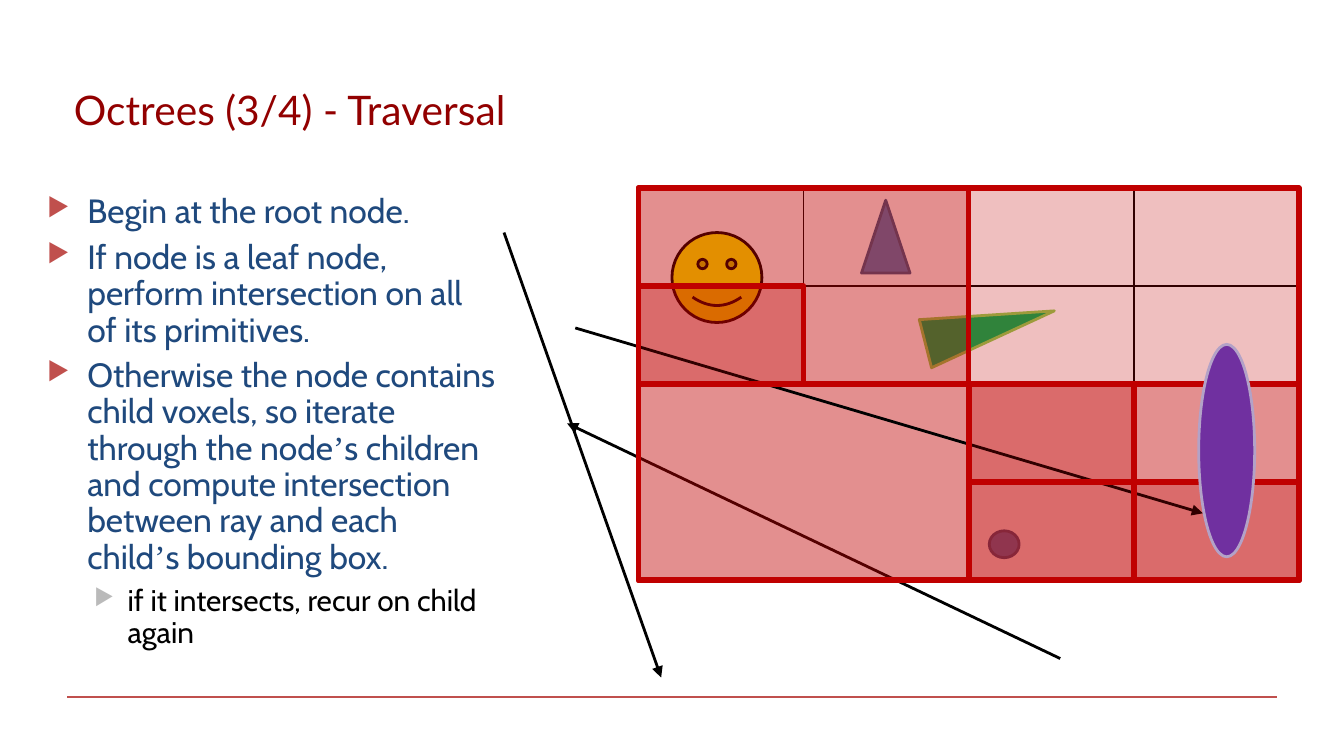
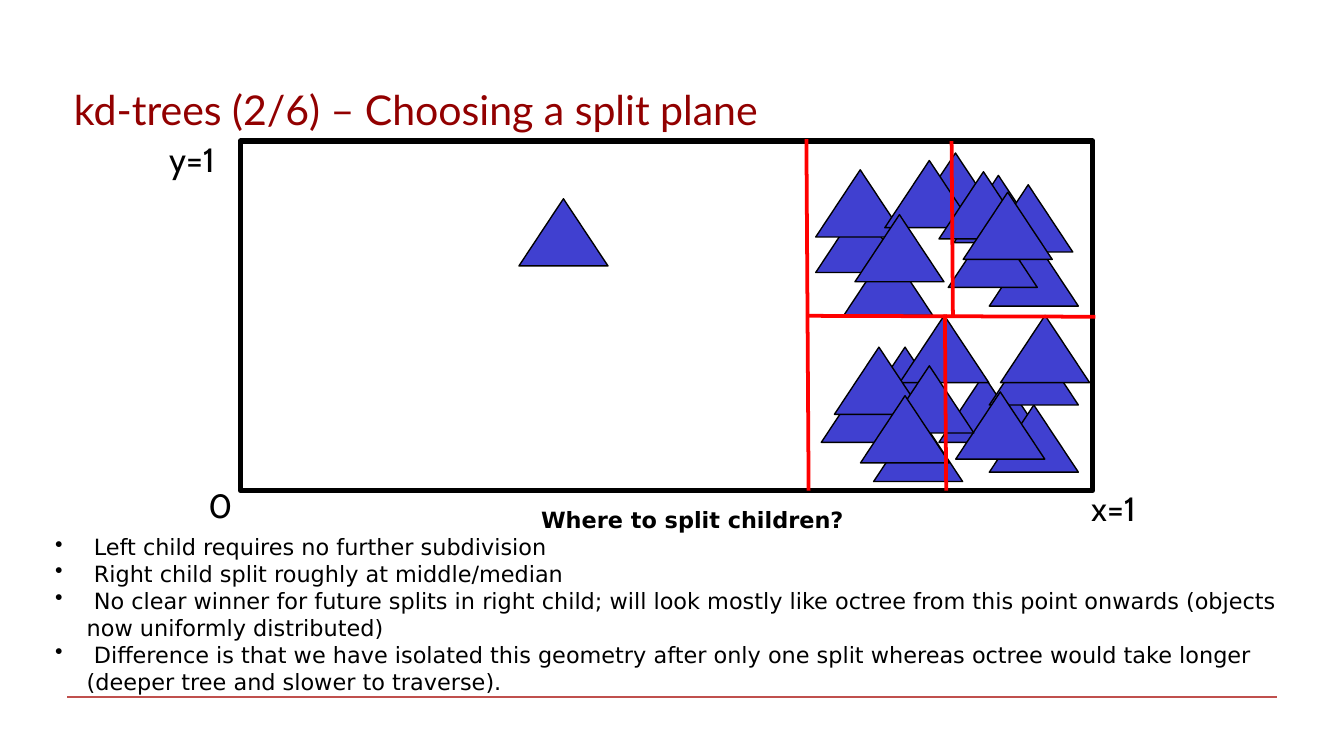
from dataclasses import dataclass
from typing import NamedTuple, Optional

from pptx import Presentation
from pptx.dml.color import RGBColor
from pptx.enum.shapes import MSO_CONNECTOR, MSO_SHAPE
from pptx.enum.text import MSO_ANCHOR, MSO_AUTO_SIZE, PP_ALIGN
from pptx.oxml.ns import qn
from pptx.util import Pt

STRAIGHT = MSO_CONNECTOR.STRAIGHT
RECTANGLE = MSO_SHAPE.RECTANGLE
TRIANGLE = MSO_SHAPE.ISOSCELES_TRIANGLE
ELLIPSE = MSO_SHAPE.OVAL
SMILEY = MSO_SHAPE.SMILEY_FACE
MIDDLE = MSO_ANCHOR.MIDDLE
LEFT, CENTER = PP_ALIGN.LEFT, PP_ALIGN.CENTER
TITLE_ONLY = 5

COLOURS = {
    "title": "920000", "rule": "C0504D", "body": "1F497D", "grey": "BABABA",
    "black": "000000", "voxel": "C00000", "yellow": "FFFF00",
    "blue": "4F81BD", "blue_edge": "3A5E8A",
    "green": "00B050", "green_edge": "92D050",
    "purple": "7030A0", "purple_edge": "B3A2C7",
    "primitive": "4040D0", "split": "FF0000",
}
TITLE_FONT, BODY_FONT, NOTE_FONT = "Lato", "Cabin", "DejaVu Sans"
QUOTE_FONT = "Times New Roman"


class Area(NamedTuple):
    left: float
    top: float
    width: float
    height: float


class Segment(NamedTuple):
    x1: float
    y1: float
    x2: float
    y2: float


class Cell(NamedTuple):
    """A voxel: tree depth, and column and row at that depth."""
    depth: int
    column: int
    row: int


@dataclass
class Figure:
    kind: int
    area: Area
    fill: Optional[str] = None
    edge: str = "black"
    edge_width: float = 1.5
    opacity: int = 100
    rotation: float = 0


@dataclass
class Bullet:
    char: str
    margin: float
    hanging: float
    colour: Optional[str] = None
    percent: Optional[int] = None


def rgb(name: str) -> RGBColor:
    return RGBColor.from_string(COLOURS[name])


def points(values) -> list:
    return [Pt(value) for value in values]


# Text
def add_text(para, text, *, size, font, colour="black", bold=False):
    span = para.add_run()
    span.text = text
    span.font.size, span.font.name, span.font.bold = Pt(size), font, bold
    span.font.color.rgb = rgb(colour)


def set_frame(frame, wrap: bool = True):
    frame.word_wrap = wrap
    frame.auto_size = MSO_AUTO_SIZE.NONE
    frame.margin_left = frame.margin_right = Pt(3.6)
    frame.margin_top = frame.margin_bottom = Pt(3.6)


def add_box(page, area: Area, wrap: bool = True):
    frame = page.shapes.add_textbox(*points(area)).text_frame
    set_frame(frame, wrap)
    return frame


def set_bullet(para, bullet: Bullet):
    props = para._p.get_or_add_pPr()
    props.set("marL", str(Pt(bullet.margin)))
    props.set("indent", str(-Pt(bullet.hanging)))

    def add(tag, parent=props, **attributes):
        node = parent.makeelement(qn(tag), attributes)
        parent.append(node)
        return node

    if bullet.colour:
        add("a:srgbClr", add("a:buClr"), val=COLOURS[bullet.colour])
    if bullet.percent:
        add("a:buSzPct", val=str(bullet.percent * 1000))
    add("a:buChar", char=bullet.char)


# Shapes and lines
def add_figure(page, figure: Figure):
    shape = page.shapes.add_shape(figure.kind, *points(figure.area))
    shape.shadow.inherit = False
    shape.rotation = figure.rotation
    shape.line.color.rgb = rgb(figure.edge)
    shape.line.width = Pt(figure.edge_width)
    if figure.fill is None:
        shape.fill.background()
        return
    shape.fill.solid()
    shape.fill.fore_color.rgb = rgb(figure.fill)
    if figure.opacity < 100:
        colour = shape.element.spPr.find(qn("a:solidFill"))[0]
        colour.append(colour.makeelement(
            qn("a:alpha"), {"val": str(figure.opacity * 1000)}))


def add_line(page, segment: Segment, colour="black", width=1.5, arrow=False):
    line = page.shapes.add_connector(STRAIGHT, *points(segment))
    line.line.color.rgb = rgb(colour)
    line.line.width = Pt(width)
    if arrow:
        outline = line.line._get_or_add_ln()
        outline.append(outline.makeelement(qn("a:tailEnd"), {"type": "triangle"}))
    props = line.element.spPr
    props.append(props.makeelement(qn("a:effectLst"), {}))


# Shared page: footer rule and title
def add_page(deck, title: str, title_size: float):
    page = deck.slides.add_slide(deck.slide_layouts[TITLE_ONLY])
    add_line(page, Segment(36, 373.5, 684, 373.5), "rule", 0.75)
    holder = page.shapes.title
    holder.left, holder.top, holder.width, holder.height = points((36, 40.5, 648, 36))
    set_frame(holder.text_frame)
    holder.text_frame.vertical_anchor = MIDDLE
    para = holder.text_frame.paragraphs[0]
    para.alignment = LEFT
    add_text(para, title, size=title_size, font=TITLE_FONT, colour="title")
    return page


# Octree traversal
OCTREE = Area(342, 100.8, 354, 210)
ROOT = Cell(0, 0, 0)
OCTANTS = [Cell(1, 0, 0), Cell(1, 0, 1), Cell(1, 1, 1)]
LEAVES = [Cell(2, column, row) for column, row in (
    (0, 0), (0, 1), (1, 1), (2, 1), (2, 0), (3, 0), (2, 3), (2, 2), (3, 2))]
VISITED_LEAVES = [Cell(2, 0, 1), Cell(2, 2, 3), Cell(2, 2, 2), Cell(2, 3, 3)]

RAYS = [Segment(270, 124.6, 354.2, 363), Segment(568, 352.8, 303.8, 226.8)]
HIT_RAY = Segment(308.2, 175.7, 644.4, 275)

SCENE = [
    Figure(SMILEY, Area(360, 124.6, 48.2, 48.2), "yellow"),
    Figure(TRIANGLE, Area(461.5, 107.3, 26, 39), "blue", "blue_edge"),
    Figure(TRIANGLE, Area(517, 139.7, 26.6, 71.3), "green", "green_edge",
           rotation=75.7),
    Figure(ELLIPSE, Area(530, 284.4, 16, 14.4), "blue", "blue_edge"),
]
HIT_OBJECT = Figure(ELLIPSE, Area(642.2, 184.5, 30, 113.8), "purple", "purple_edge")

STEPS = [
    "Begin at the root node.",
    "If node is a leaf node, perform intersection on all of its primitives.",
    "Otherwise the node contains child voxels, so iterate through the node’s "
    "children and compute intersection between ray and each child’s bounding box.",
]
SUBSTEP = "if it intersects, recur on child again"
STEP_BULLET = Bullet("▶", 43.2, 21.6, "rule", 76)
SUBSTEP_BULLET = Bullet("▶", 64.8, 18, "grey", 76)


def cell_area(cell: Cell) -> Area:
    width = OCTREE.width / 2 ** cell.depth
    height = OCTREE.height / 2 ** cell.depth
    return Area(OCTREE.left + cell.column * width,
                OCTREE.top + cell.row * height, width, height)


def add_visited(page, cells):
    for cell in cells:
        add_figure(page, Figure(RECTANGLE, cell_area(cell), "voxel", "voxel", 3, 25))


def add_step(para, text: str, bullet: Bullet, size: float, colour: str):
    para.line_spacing, para.space_before = 0.9, Pt(5)
    set_bullet(para, bullet)
    for index, part in enumerate(text.split("’")):
        if index:
            add_text(para, "’", size=size, font=QUOTE_FONT, colour=colour)
        add_text(para, part, size=size, font=BODY_FONT, colour=colour)


def build_octree_page(deck):
    page = add_page(deck, "Octrees (3/4) - Traversal", 21.8)
    frame = add_box(page, Area(0, 100.8, 270, 270))
    for index, step in enumerate(STEPS):
        para = frame.add_paragraph() if index else frame.paragraphs[0]
        add_step(para, step, STEP_BULLET, 18, "body")
    add_step(frame.add_paragraph(), SUBSTEP, SUBSTEP_BULLET, 16, "black")

    for ray in RAYS:
        add_line(page, ray, arrow=True)
    for figure in SCENE:
        add_figure(page, figure)
    for cell in [ROOT, *OCTANTS, *LEAVES]:
        add_figure(page, Figure(RECTANGLE, cell_area(cell), edge_width=1))
    add_visited(page, [ROOT, *OCTANTS])
    add_line(page, HIT_RAY, arrow=True)
    add_visited(page, VISITED_LEAVES)
    add_figure(page, HIT_OBJECT)


# kd-tree split planes
SPACE = Figure(RECTANGLE, Area(128.9, 75.6, 456.5, 187.2), edge_width=3)
PRIMITIVES = [
    (278, 106.5), (516, 206), (503, 201), (511, 94), (452, 133), (530, 128),
    (437, 110), (461, 186), (530, 217), (482, 169), (488, 82), (440, 201),
    (530, 181), (447, 186), (536, 169), (437, 91), (468, 222), (508, 118),
    (512, 210), (527, 99), (474, 86), (474, 196), (503, 92), (516, 103),
    (461, 212), (458, 115),
]
SPLITS = [
    Segment(432, 74.5, 433.2, 262.8), Segment(432.7, 169.2, 586.8, 169.7),
    Segment(509.8, 75.6, 510.5, 169.2), Segment(506.2, 168.5, 506.9, 262.8),
]
AXIS_LABELS = [
    ("0", Area(108, 256.3, 17.3, 27.4), False),
    ("x=1", Area(581, 257.8, 37.4, 27.4), False),
    ("y=1", Area(87, 70.6, 49.7, 27.4), True),
]
QUESTION = "Where to split children?"
ANSWERS = [
    " Left child requires no further subdivision",
    " Right child split roughly at middle/median",
    " No clear winner for future splits in right child; will look mostly like "
    "octree from this point onwards (objects now uniformly distributed)",
    " Difference is that we have isolated this geometry after only one split "
    "whereas octree would take longer (deeper tree and slower to traverse).",
]
ANSWER_BULLET = Bullet("•", 16.9, 16.9)


def build_kd_tree_page(deck):
    page = add_page(deck, "kd-trees (2/6) – Choosing a split plane", 22)
    frame = add_box(page, Area(26, 267.8, 690, 112.3))
    heading = frame.paragraphs[0]
    heading.alignment = CENTER
    add_text(heading, QUESTION, size=12, font=NOTE_FONT, bold=True)
    for answer in ANSWERS:
        para = frame.add_paragraph()
        set_bullet(para, ANSWER_BULLET)
        add_text(para, answer, size=12, font=NOTE_FONT)
    for label, area, wrap in AXIS_LABELS:
        para = add_box(page, area, wrap).paragraphs[0]
        add_text(para, label, size=18, font=BODY_FONT)

    add_figure(page, SPACE)
    for left, top in PRIMITIVES:
        add_figure(page, Figure(TRIANGLE, Area(left, top, 47.7, 36),
                                "primitive", edge_width=0.75))
    for split in SPLITS:
        add_line(page, split, "split", 2)


def main():
    deck = Presentation()
    deck.slide_width, deck.slide_height = Pt(720), Pt(405)
    build_octree_page(deck)
    build_kd_tree_page(deck)
    deck.save("out.pptx")


if __name__ == "__main__":
    main()
